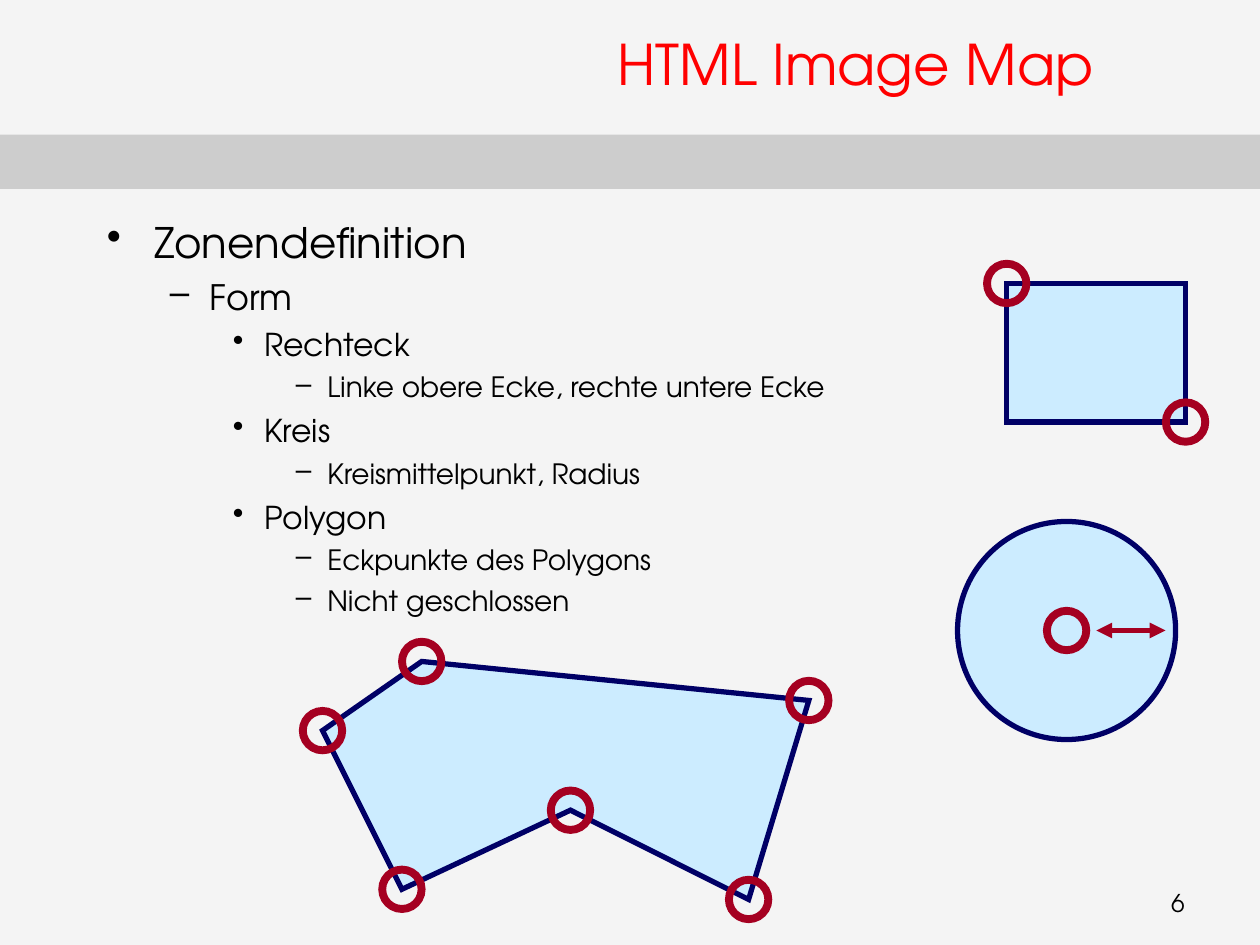
from dataclasses import dataclass

from lxml import etree
from pptx import Presentation
from pptx import util as u
from pptx.dml.color import RGBColor
from pptx.enum import shapes, text
from pptx.oxml.ns import qn

Pt = u.Pt


@dataclass(frozen=True)
class Theme:
    font: str = "TeX Gyre Adventor"
    background: str = "F4F4F4"
    band: str = "CDCDCD"
    title: str = "FF0000"
    ink: str = "000000"
    zone_fill: str = "CCECFF"
    zone_line: str = "000066"
    marker: str = "A50021"
    title_size: float = 32
    number_size: float = 14
    zone_width: float = 3
    marker_width: float = 4.5


@dataclass(frozen=True)
class Box:
    left: float
    top: float
    width: float
    height: float

    def lengths(self):
        return Pt(self.left), Pt(self.top), Pt(self.width), Pt(self.height)

    @property
    def center(self):
        return self.left + self.width / 2, self.top + self.height / 2


@dataclass(frozen=True)
class Level:
    bullet: str
    size: float
    before: float
    margin: float
    hanging: float


THEME = Theme()
LEVELS = (
    Level("•", 24, 6, 27, 27),
    Level("–", 20, 5, 58.5, 22.5),
    Level("•", 18, 4.5, 90, 18),
    Level("–", 16, 4, 126, 18),
)
OUTLINE = (
    (0, "Zonendefinition"),
    (1, "Form"),
    (2, "Rechteck"),
    (3, "Linke obere Ecke, rechte untere Ecke"),
    (2, "Kreis"),
    (3, "Kreismittelpunkt, Radius"),
    (2, "Polygon"),
    (3, "Eckpunkte des Polygons"),
    (3, "Nicht geschlossen"),
)
RECTANGLE = Box(575.3, 162, 102.2, 79.2)
CIRCLE = Box(547.2, 298, 124.6, 124.6)
POLYGON = ((184.3, 417.5), (229.7, 508.2), (326, 463), (427.8, 514), (462.2, 400.3), (241, 378))
MARKER_SIZE = 22.5
RADIUS_START, RADIUS_END = 626.5, 666


def rgb(color: str) -> RGBColor:
    return RGBColor.from_string(color)


def paint(shape, fill: str | None, line: str | None = None, width: float = 0) -> None:
    shape.shadow.inherit = False
    if fill:
        shape.fill.solid()
        shape.fill.fore_color.rgb = rgb(fill)
    else:
        shape.fill.background()
    if line:
        shape.line.color.rgb = rgb(line)
        shape.line.width = Pt(width)
        etree.SubElement(shape.line._get_or_add_ln(), qn("a:miter"), lim="800000")
    else:
        shape.line.fill.background()


def add_text_frame(slide, box: Box):
    frame = slide.shapes.add_textbox(*box.lengths()).text_frame
    frame.word_wrap = True
    return frame


def add_run(paragraph, words: str, size: float, color: str) -> None:
    run = paragraph.add_run()
    run.text = words
    run.font.name = THEME.font
    run.font.size = Pt(size)
    run.font.color.rgb = rgb(color)


def set_bullet(paragraph, level: Level) -> None:
    """Give the paragraph its hanging indent and bullet character."""
    properties = paragraph._p.get_or_add_pPr()
    properties.set("marL", str(Pt(level.margin)))
    properties.set("indent", str(-Pt(level.hanging)))
    color = etree.SubElement(properties, qn("a:buClr"))
    etree.SubElement(color, qn("a:srgbClr"), val=THEME.ink)
    etree.SubElement(properties, qn("a:buChar"), char=level.bullet)


def add_outline(slide, box: Box) -> None:
    frame = add_text_frame(slide, box)
    for index, (depth, words) in enumerate(OUTLINE):
        paragraph = frame.add_paragraph() if index else frame.paragraphs[0]
        level = LEVELS[depth]
        paragraph.level = depth
        paragraph.space_before = Pt(level.before)
        set_bullet(paragraph, level)
        add_run(paragraph, words, level.size, THEME.ink)


def add_zone(slide, kind, box: Box) -> None:
    zone = slide.shapes.add_shape(kind, *box.lengths())
    paint(zone, THEME.zone_fill, THEME.zone_line, THEME.zone_width)


def add_polygon_zone(slide, corners) -> None:
    points = [(Pt(x), Pt(y)) for x, y in corners]
    builder = slide.shapes.build_freeform(*points[0])
    builder.add_line_segments(points[1:], close=True)
    paint(builder.convert_to_shape(), THEME.zone_fill, THEME.zone_line, THEME.zone_width)


def add_marker(slide, x: float, y: float) -> None:
    half = MARKER_SIZE / 2
    box = Box(x - half, y - half, MARKER_SIZE, MARKER_SIZE)
    marker = slide.shapes.add_shape(shapes.MSO_SHAPE.OVAL, *box.lengths())
    paint(marker, None, THEME.marker, THEME.marker_width)


def add_radius_arrow(slide, y: float) -> None:
    arrow = slide.shapes.add_connector(
        shapes.MSO_CONNECTOR.STRAIGHT, Pt(RADIUS_START), Pt(y), Pt(RADIUS_END), Pt(y))
    arrow.line.color.rgb = rgb(THEME.marker)
    arrow.line.width = Pt(THEME.zone_width)
    for end in ("a:headEnd", "a:tailEnd"):
        etree.SubElement(arrow.line._get_or_add_ln(), qn(end), type="triangle")
    etree.SubElement(arrow._element.spPr, qn("a:effectLst"))


def main() -> None:
    presentation = Presentation()
    presentation.slide_width, presentation.slide_height = Pt(720), Pt(540)
    slide = presentation.slides.add_slide(presentation.slide_layouts[6])
    slide.background.fill.solid()
    slide.background.fill.fore_color.rgb = rgb(THEME.background)

    band = slide.shapes.add_shape(shapes.MSO_SHAPE.RECTANGLE, *Box(0, 77, 720, 31).lengths())
    paint(band, THEME.band)

    title = add_text_frame(slide, Box(258, 0, 462, 72))
    title.vertical_anchor = text.MSO_ANCHOR.MIDDLE
    title.paragraphs[0].alignment = text.PP_ALIGN.CENTER
    add_run(title.paragraphs[0], "HTML Image Map", THEME.title_size, THEME.title)

    add_outline(slide, Box(54, 120, 612, 354))

    add_zone(slide, shapes.MSO_SHAPE.RECTANGLE, RECTANGLE)
    add_zone(slide, shapes.MSO_SHAPE.OVAL, CIRCLE)
    add_polygon_zone(slide, POLYGON)

    top_left = (RECTANGLE.left, RECTANGLE.top)
    bottom_right = (RECTANGLE.left + RECTANGLE.width, RECTANGLE.top + RECTANGLE.height)
    for x, y in (top_left, bottom_right, CIRCLE.center, *POLYGON):
        add_marker(slide, x, y)
    add_radius_arrow(slide, CIRCLE.center[1])

    number = add_text_frame(slide, Box(534, 504, 150, 36))
    number.paragraphs[0].alignment = text.PP_ALIGN.RIGHT
    add_run(number.paragraphs[0], "6", THEME.number_size, THEME.ink)

    presentation.save("out.pptx")


if __name__ == "__main__":
    main()
